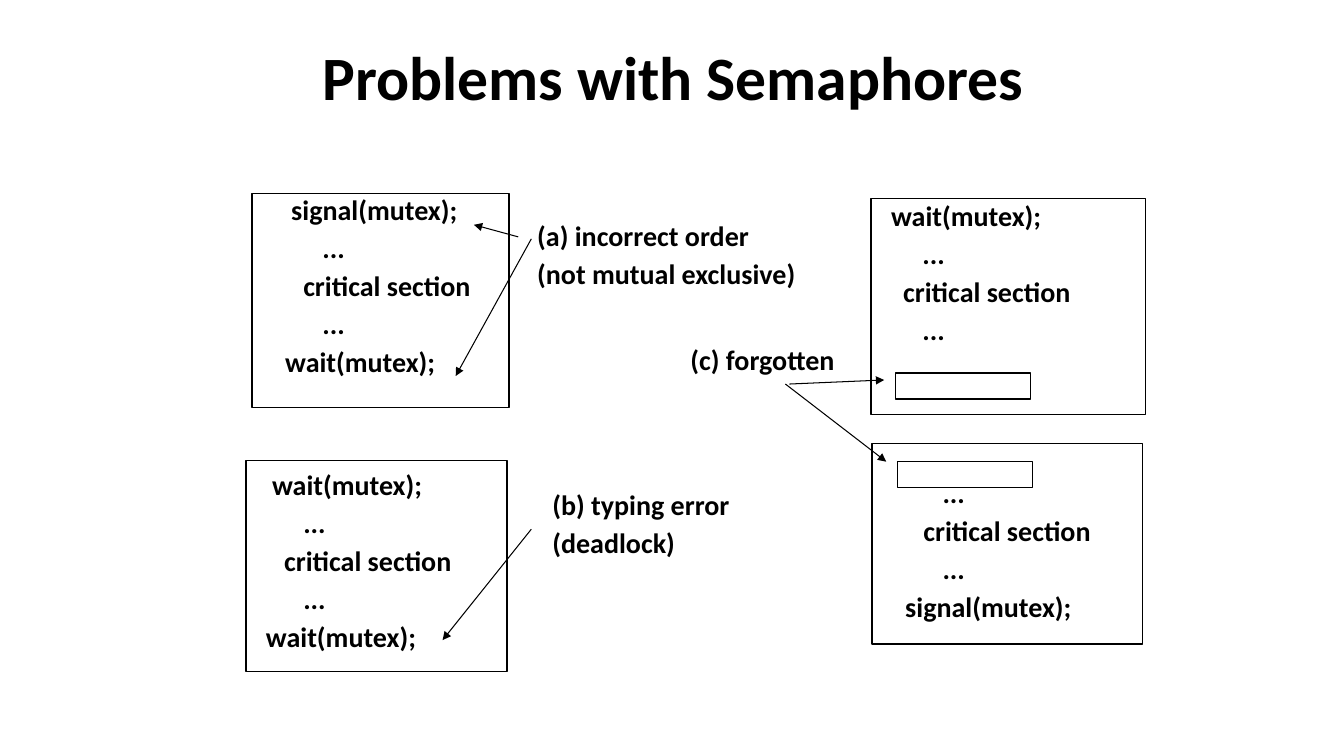
"""Build the slide on common mistakes in the use of semaphores."""
import pptx
import pptx.dml.color
import pptx.enum.shapes
import pptx.enum.text
import pptx.oxml
import pptx.oxml.ns
import pptx.util

BLACK = pptx.dml.color.RGBColor(0, 0, 0)
DOTS = ("...", 0.5)
SECTION = ("critical section", 0.31)
BODY = [DOTS, SECTION, DOTS]
FIRST, LAST = 0.19, 0.13


class Board:
    """Draws on one slide, with lengths in grid cells of a tenth of an inch."""

    def __init__(self, prs):
        self.slide = prs.slides.add_slide(prs.slide_layouts[6])
        self.shapes = self.slide.shapes
        self.cell = pptx.util.Inches(0.1)
        self.font = "Calibri"

    def grid(self, *cells):
        return [round(c * self.cell) for c in cells]

    def text(self, at, lines, size=20, spacing=0.9, align=None, anchor=None):
        tf = self.shapes.add_textbox(*self.grid(*at)).text_frame
        tf.word_wrap = True
        tf.vertical_anchor = anchor
        for i, (line, indent) in enumerate(lines):
            p = tf.add_paragraph() if i else tf.paragraphs[0]
            p.text = line
            p.alignment = align
            p.line_spacing = spacing
            if i:
                p.space_before = pptx.util.Pt(5.5)
            if indent:
                p._p.get_or_add_pPr().set("marL", str(pptx.util.Inches(indent)))
            p.font.name = self.font
            p.font.size = pptx.util.Pt(size)
            p.font.bold = True
            p.font.color.rgb = BLACK

    def frame(self, *at):
        rect = pptx.enum.shapes.MSO_SHAPE.RECTANGLE
        sp = self.shapes.add_shape(rect, *self.grid(*at))
        sp.shadow.inherit = False
        sp.fill.background()
        sp.line.color.rgb = BLACK
        sp.line.width = pptx.util.Pt(1)

    def arrow(self, *ends):
        straight = pptx.enum.shapes.MSO_CONNECTOR.STRAIGHT
        c = self.shapes.add_connector(straight, *self.grid(*ends))
        c.line.color.rgb = BLACK
        c.line.width = pptx.util.Pt(0.75)
        tail = pptx.oxml.ns.qn("a:tailEnd")
        c.line._get_or_add_ln().append(
            c._element.makeelement(tail, {"type": "triangle"}))
        effects = pptx.oxml.ns.qn("a:effectLst")
        c._element.spPr.append(c._element.makeelement(effects, {}))


def main():
    prs = pptx.Presentation()
    prs.slide_width = pptx.util.Inches(13.33)
    prs.slide_height = pptx.util.Inches(7.5)
    s = Board(prs)

    s.text((6.8, 1.3, 120, 12.5), [("Problems with Semaphores", 0)], size=44,
           spacing=1, align=pptx.enum.text.PP_ALIGN.CENTER,
           anchor=pptx.enum.text.MSO_ANCHOR.MIDDLE)

    wait_first = ("wait(mutex);", FIRST)
    wait_last = ("wait(mutex);", LAST)
    listings = [
        ((25, 19.2, 25.5, 21.2), (26, 19),
         [("signal(mutex);", FIRST), *BODY, wait_last]),
        ((24.4, 45.7, 25.9, 20.9), (24.1, 46.3),
         [wait_first, *BODY, wait_last]),
        ((86.4, 19.7, 27.2, 21.4), (85.5, 19.6), [wait_first, *BODY]),
        ((86.5, 44, 26.8, 19.9), (87.5, 47.1),
         [*BODY, ("signal(mutex);", LAST)]),
    ]
    for frame, corner, code in listings:
        s.frame(*frame)
        s.text((*corner, 22.3, 3.9 * len(code)), code)

    for left, top in [(88.8, 37), (89, 45.8)]:
        s.frame(left, top, 13.4, 2.6)

    labels = [
        (52.3, 21.6, 28.2, ["(a) incorrect order", "(not mutual exclusive)"]),
        (53.8, 48.3, 19.8, ["(b) typing error", "(deadlock)"]),
        (67.5, 33.9, 16.7, ["(c) forgotten"]),
    ]
    for left, top, width, lines in labels:
        s.text((left, top, width, 4 * len(lines)),
               [(line, 0) for line in lines])

    for ends in [
        (51.4, 23.5, 47, 22.3),
        (52.7, 23.7, 45.2, 37.3),
        (52.7, 52.5, 43.9, 63.5),
        (78.3, 38.1, 87.7, 37.7),
        (77.9, 38.1, 87.9, 45.8),
    ]:
        s.arrow(*ends)

    prs.save("out.pptx")


if __name__ == "__main__":
    main()
